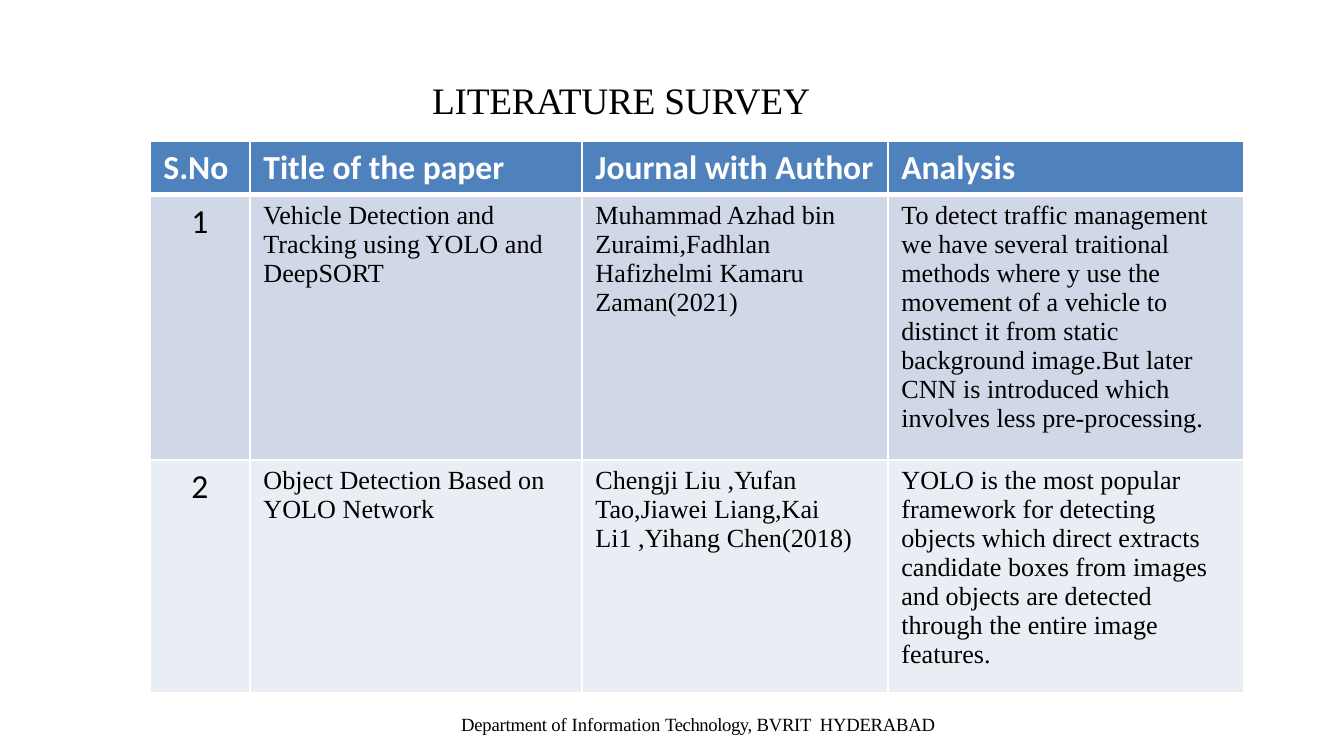
from dataclasses import dataclass

import pptx
import pptx.dml.color
import pptx.enum.text
import pptx.oxml
import pptx.oxml.ns
import pptx.util

EMU_PER_PIXEL = 914400 / 134.4
ALIGN = pptx.enum.text.PP_ALIGN


@dataclass(frozen=True)
class Theme:
    serif: str = "Times New Roman"
    sans: str = "Calibri"
    ink: str = "000000"
    white: str = "FFFFFF"
    header_fill: str = "4F81BD"
    band_fills: tuple = ("D0D8E8", "E9EDF4")
    title_size: int = 20
    label_size: int = 18
    body_size: int = 14
    footer_size: int = 10
    rule: int = 1
    header_rule: int = 3


THEME = Theme()

TITLE = [("LITERATURE ", -20), ("SURVEY", -10)]
FOOTER = [
    ("Department ", -10),
    ("of Information ", 0),
    ("Technology, ", -20),
    ("BVRIT  HYDERABAD", -10),
]
COLUMN_WIDTHS = [100, 332, 306, 356]
ROW_HEIGHTS = [53, 265, 232]
HEADINGS = ["S.No", "Title of the paper ", "Journal with Author ", "Analysis"]
PAPERS = [
    [
        "1",
        "Vehicle Detection and Tracking using YOLO and DeepSORT",
        "Muhammad Azhad bin Zuraimi,Fadhlan Hafizhelmi Kamaru Zaman(2021)",
        "To detect traffic management we have several traitional methods where y "
        "use the movement of a vehicle to distinct it from static\n"
        "background image.But later CNN is introduced which involves less "
        "pre-processing.",
    ],
    [
        "2",
        "Object Detection Based on YOLO Network",
        "Chengji Liu ,Yufan Tao,Jiawei Liang,Kai Li1 ,Yihang Chen(2018)",
        "YOLO is the most popular framework for detecting objects which direct "
        "extracts candidate boxes from images and objects are detected through "
        "the entire image features.",
    ],
]


def px(pixels):
    return pptx.util.Emu(round(pixels * EMU_PER_PIXEL))


def apply(target, values):
    for name, value in values.items():
        setattr(target, name, value)


def style_span(span, font, size, color, bold=False):
    apply(span.font, {"name": font, "size": pptx.util.Pt(size), "bold": bold})
    span.font.color.rgb = pptx.dml.color.RGBColor.from_string(color)


def add_spaced_text(page, frame, top_inset, pieces, size):
    box = page.shapes.add_textbox(*map(px, frame))
    apply(box.text_frame, {"word_wrap": True, "margin_top": px(top_inset)})
    para = box.text_frame.paragraphs[0]
    for text, spacing in pieces:
        span = para.add_run()
        span.text = text
        style_span(span, THEME.serif, size, THEME.ink)
        span.font._element.set("spc", str(spacing))


def add_borders(cell, widths):
    properties = cell._tc.get_or_add_tcPr()
    for side, width in widths.items():
        properties.append(pptx.oxml.parse_xml(
            f'<a:ln{side} {pptx.oxml.ns.nsdecls("a")} w="{pptx.util.Pt(width)}">'
            f'<a:solidFill><a:srgbClr val="{THEME.white}"/></a:solidFill>'
            f'</a:ln{side}>'))


def fill_cell(cell, text, fill, borders, align, **font):
    add_borders(cell, borders)
    cell.fill.solid()
    cell.fill.fore_color.rgb = pptx.dml.color.RGBColor.from_string(fill)
    cell.text = text
    for para in cell.text_frame.paragraphs:
        para.alignment = align
        for span in para.runs:
            style_span(span, **font)


def add_survey_table(page, left, top):
    rows = [HEADINGS, *PAPERS]
    table = page.shapes.add_table(
        len(rows), len(HEADINGS), px(left), px(top),
        px(sum(COLUMN_WIDTHS)), px(sum(ROW_HEIGHTS))).table
    for column, width in zip(table.columns, COLUMN_WIDTHS):
        column.width = px(width)
    for row, height in zip(table.rows, ROW_HEIGHTS):
        row.height = px(height)

    label = {"font": THEME.sans, "size": THEME.label_size}
    heading = {**label, "color": THEME.white, "bold": True}
    number = {**label, "color": THEME.ink}
    body = {"font": THEME.serif, "size": THEME.body_size, "color": THEME.ink}
    fills = [THEME.header_fill, *THEME.band_fills]
    for r, texts in enumerate(rows):
        borders = dict.fromkeys("LRTB", THEME.rule)
        if r == 0:
            borders["B"] = THEME.header_rule
        elif r == 1:
            borders["T"] = THEME.header_rule
        for c, text in enumerate(texts):
            font = heading if r == 0 else number if c == 0 else body
            align = ALIGN.CENTER if font is number else ALIGN.LEFT
            fill_cell(table.cell(r, c), text, fills[r], borders, align, **font)


def main():
    deck = pptx.Presentation()
    apply(deck, {"slide_width": px(1344), "slide_height": px(756)})
    page = deck.slides.add_slide(deck.slide_layouts[6])
    add_spaced_text(page, (448, 703, 754, 103), 10, FOOTER, THEME.footer_size)
    add_spaced_text(page, (419, 65, 480, 185), 12, TITLE, THEME.title_size)
    add_survey_table(page, 150, 141)
    deck.save("out.pptx")


main()
